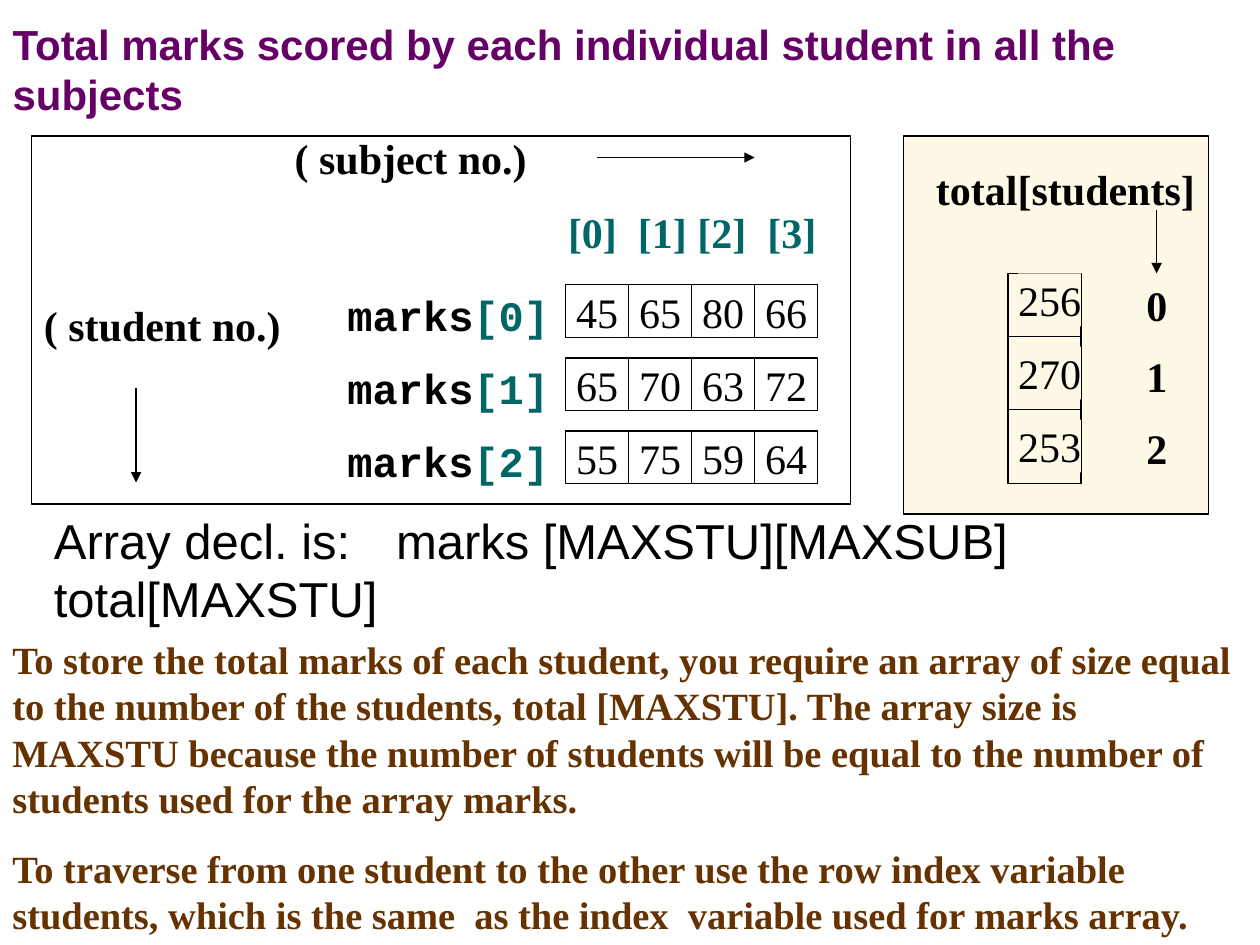
from pptx import Presentation, util as u
from pptx.dml.color import RGBColor
from pptx.enum import shapes, text
from pptx.oxml.ns import qn
from lxml import etree

C = {"title": "660066", "body": "663300", "index": "006666",
     "ink": "000000", "cream": "FEF9E6"}
SERIF = "Times New Roman"
MID = {"vertical_anchor": text.MSO_ANCHOR.MIDDLE, "word_wrap": False}
CENTER = {"alignment": text.PP_ALIGN.CENTER}


def write(sp, paras, size=24, font=SERIF, bold=True, frame={}, para={}):
    tf = sp.text_frame
    for k, v in frame.items():
        setattr(tf, k, v)
    for i, runs in enumerate(paras):
        p = tf.paragraphs[0] if i == 0 else tf.add_paragraph()
        for k, v in ({"alignment": text.PP_ALIGN.LEFT} | para).items():
            setattr(p, k, v)
        for words, color in runs:
            r = p.add_run()
            r.text = words
            for k, v in {"name": font, "size": u.Pt(size), "bold": bold}.items():
                setattr(r.font, k, v)
            r.font.color.rgb = RGBColor.from_string(C[color])


def draw(g, kind, x, y, a, b, fill=None, line=True, arrow=False):
    box = [u.Inches(v) for v in (x, y, a, b)]
    if kind == "line":
        sp = g.shapes.add_connector(shapes.MSO_CONNECTOR.STRAIGHT, *box)
        etree.SubElement(sp.line._get_or_add_ln(), qn("a:tailEnd"),
                         type="triangle" if arrow else "none")
    elif kind == "text":
        sp = g.shapes.add_textbox(*box)
        sp.text_frame.word_wrap = True
        return sp
    else:
        sp = g.shapes.add_shape(shapes.MSO_SHAPE.RECTANGLE, *box)
        sp.shadow.inherit = False
        if fill:
            sp.fill.solid()
            sp.fill.fore_color.rgb = RGBColor.from_string(C[fill])
        else:
            sp.fill.background()
    if line:
        sp.line.color.rgb = RGBColor.from_string(C["ink"])
        sp.line.width = u.Pt(0.75)
    else:
        sp.line.fill.background()
    if kind == "line":
        etree.SubElement(sp._element.spPr, qn("a:effectLst"))
    return sp


prs = Presentation()
prs.slide_width, prs.slide_height = u.Inches(10), u.Inches(7.5)
s = prs.slides.add_slide(prs.slide_layouts[5])

title = s.shapes.title
for k, v in {"left": 0, "top": 0.17, "width": 10, "height": 0.75}.items():
    setattr(title, k, u.Inches(v))
write(title, [[("Total marks scored by each individual student in all the subjects",
                "title")]], font="Arial",
      frame={"vertical_anchor": text.MSO_ANCHOR.MIDDLE,
             "auto_size": text.MSO_AUTO_SIZE.NONE})

notes = [
    "To store the total marks of each student, you require an array of size equal "
    "to the number of the students, total [MAXSTU]. The array size is MAXSTU because "
    "the number of students will be equal to the number of students used for the "
    "array marks.",
    "To traverse from one student to the other use the row index variable students, "
    "which is the same  as the index  variable used for marks array."]
write(draw(s, "text", 0, 5, 10, 2.49), [[(n, "body")] for n in notes], size=22,
      para={"space_before": u.Pt(13.8)})

g = s.shapes.add_group_shape()
draw(g, "rect", 0.25, 1.08, 6.5, 2.92)
write(draw(g, "text", 4.41, 1.59, 2.25, 0.5), [[("[0]  [1] [2]  [3]", "index")]],
      frame={"word_wrap": False})
for x, y, label in [(2.24, 1, "( subject no.)"), (0.25, 2.33, "( student no.)")]:
    write(draw(g, "text", x, y, 2.25, 0.5), [[(label, "ink")]],
          para={"space_before": u.Pt(15)})
draw(g, "line", 1.08, 3.08, 1.08, 3.83, arrow=True)
draw(g, "line", 4.74, 1.25, 5.99, 1.25, arrow=True)

marks = [[45, 65, 80, 66], [65, 70, 63, 72], [55, 75, 59, 64]]
step = 0.58
for i, row in enumerate(marks):
    y = 2.26 + i * step
    write(draw(g, "text", 2.66, y - 0.01, 1.8, 0.5),
          [[("marks", "ink"), (f"[{i}]", "index")]], font="Courier New",
          frame={"word_wrap": False})
    for j, mark in enumerate(row):
        write(draw(g, "rect", 4.49 + j * 0.5, y, 0.5, 0.42),
              [[(str(mark), "ink")]], bold=False, frame=MID, para=CENTER)

write(draw(s, "text", 0.33, 4, 9.33, 1.04),
      [[("Array decl. is:\t  marks [MAXSTU][MAXSUB] total[MAXSTU]", "ink")]],
      size=28, font="Arial", bold=False, para={"space_before": u.Pt(17.5)})

g = s.shapes.add_group_shape()
draw(g, "rect", 7.17, 1.08, 2.42, 3, fill="cream")
write(draw(g, "text", 7.33, 1.25, 2.92, 0.5), [[("total[students]", "ink")]],
      para={"space_before": u.Pt(15)})
draw(g, "rect", 8, 2.17, 0.58, 1.67, fill="cream")
for y in (2.67, 3.25):
    draw(g, "line", 8, y, 8.58, y)
for i, row in enumerate(marks):
    write(draw(g, "rect", 8.08, 2.17 + i * step, 0.5, 0.42, fill="cream", line=False),
          [[(str(sum(row)), "ink")]], bold=False, frame=MID, para=CENTER)
index = draw(g, "rect", 9, 2.17, 0.36, 1.64, fill="cream", line=False)
write(index, [[(str(i), "ink")] for i in range(len(marks))],
      frame={"vertical_anchor": text.MSO_ANCHOR.TOP, "word_wrap": False},
      para={"space_before": u.Pt(12)})
arrow = draw(g, "line", 9.18, 1.67, 9.18, 2.17, arrow=True)
arrow.end_connect(index, 0)

prs.save("out.pptx")
